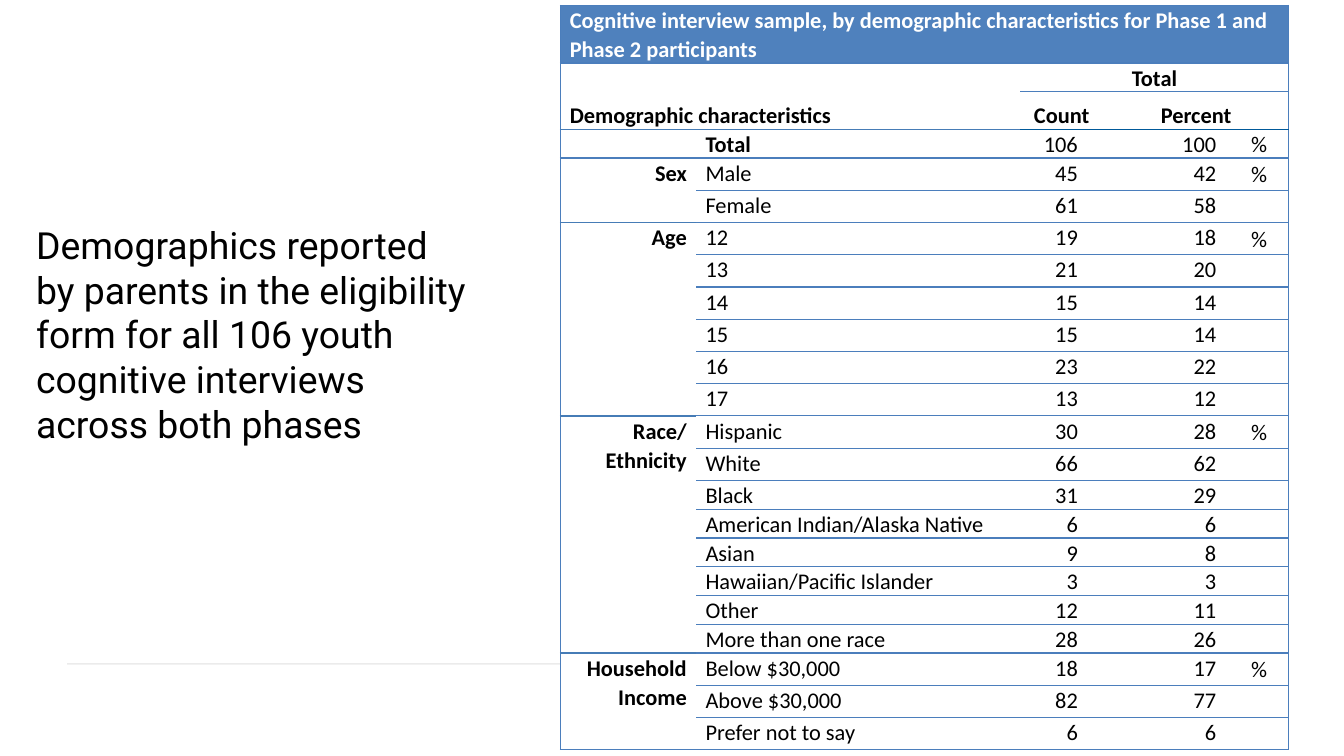
from lxml import etree
from pptx import Presentation
from pptx.dml import color
from pptx.enum import shapes, text
from pptx.oxml import ns
from pptx import util as u


def hue(code):
    return color.RGBColor.from_string(code)


def style(item, **values):
    for name, value in values.items():
        setattr(item, name, value)


deck = Presentation()
deck.slide_width = u.Inches(10)
deck.slide_height = u.Inches(10 * 9 / 16)
slide = deck.slides.add_slide(deck.slide_layouts[6])

rule = slide.shapes.add_connector(
    shapes.MSO_CONNECTOR.STRAIGHT,
    u.Inches(0.5), u.Inches(4.94), u.Inches(9.5), u.Inches(4.94))
rule.line.color.rgb = hue("D9D9D9")
rule.line.width = u.Pt(0.75)
tint = next(rule.line._ln.iter(ns.qn("a:srgbClr")))
etree.SubElement(tint, ns.qn("a:alpha"), val="50000")
etree.SubElement(rule._element.spPr, ns.qn("a:effectLst"))

box = slide.shapes.add_textbox(
    u.Inches(0.17), u.Inches(0.65), u.Inches(3.42), u.Inches(3.67))
style(box.text_frame, word_wrap=True, vertical_anchor=text.MSO_ANCHOR.MIDDLE)
run = box.text_frame.paragraphs[0].add_run()
run.text = ("Demographics reported by parents in the eligibility form "
            "for all 106 youth cognitive interviews across both phases")
style(run.font, name="Roboto", size=u.Pt(20))
run.font.color.rgb = hue("000000")

groups = [
    ("", [("Total", 106, 100)]),
    ("Sex", [("Male", 45, 42), ("Female", 61, 58)]),
    ("Age", [("12", 19, 18), ("13", 21, 20), ("14", 15, 14),
             ("15", 15, 14), ("16", 23, 22), ("17", 13, 12)]),
    ("Race/\nEthnicity", [
        ("Hispanic", 30, 28), ("White", 66, 62), ("Black", 31, 29),
        ("American Indian/Alaska Native", 6, 6), ("Asian", 9, 8),
        ("Hawaiian/Pacific Islander", 3, 3), ("Other", 12, 11),
        ("More than one race", 28, 26)]),
    ("Household\nIncome", [("Below $30,000", 18, 17), ("Above $30,000", 82, 77),
                           ("Prefer not to say", 6, 6)]),
]
rows = [
    ["Cognitive interview sample, by demographic characteristics "
     "for Phase 1 and Phase 2 participants", "", "", "", ""],
    ["Demographic characteristics", "", "Total", "", ""],
    ["", "", "Count", "Percent", ""],
]
spans = [(0, 0, 0, 4), (1, 0, 2, 1), (1, 2, 1, 4), (2, 3, 2, 4)]
ends = []
for group, items in groups:
    top = len(rows)
    for i, (label, count, share) in enumerate(items):
        first = i == 0
        rows.append([group if first else "", label, str(count), str(share),
                     "%" if first else ""])
    ends.append(len(rows) - 1)
    if len(items) > 1:
        spans.append((top, 0, ends[-1], 0))

wide = [1.01, 2.41, 0.62, 1.03, 0.35]
high = [0.4, 0.19, 0.28, 0.19] + [0.24] * 10 + [0.19] * 6 + [0.24] * 3
frame = slide.shapes.add_table(
    len(rows), len(wide), u.Inches(4.17), u.Inches(0.04),
    u.Inches(sum(wide)), u.Inches(sum(high)))
table = frame.table
style(table, first_row=False, horz_banding=False)
look = next(frame._element.iter(ns.qn("a:tableStyleId")))
look.text = "{2D5ABB26-0587-4C30-8999-92F81FD0307C}"
for col, size in zip(table.columns, wide):
    col.width = u.Inches(size)
for row, size in zip(table.rows, high):
    row.height = u.Inches(size)
for top, left, last, right in spans:
    table.cell(top, left).merge(table.cell(last, right))

thin, bold, dark = ("4B7EBC", 0.75), ("467CB6", 1), ("00599A", 1)
edges = {(-1, c): thin for c in range(5)}
for r in range(len(rows)):
    for c in range(5):
        if r == 2:
            edges[r, c] = bold if c < 2 else dark
        elif r == 1:
            edges[r, c] = thin if c > 1 else None
        elif c or r == 0 or r in (ends[0], ends[-1]):
            edges[r, c] = thin
        else:
            edges[r, c] = bold if r in ends else None

align = text.PP_ALIGN
sides = [align.RIGHT, align.LEFT, align.RIGHT, align.RIGHT, align.LEFT]
anchor = text.MSO_ANCHOR
for r, row in enumerate(rows):
    for c, words in enumerate(row):
        cell = table.cell(r, c)
        tall = cell.span_height if cell.is_merge_origin else 1
        broad = cell.span_width if cell.is_merge_origin else 1
        props = cell._tc.get_or_add_tcPr()
        lines = {"L": thin if c == 0 else None,
                 "R": thin if c + broad == 5 else None,
                 "T": edges[r - 1, c], "B": edges[r + tall - 1, c]}
        for side, edge in lines.items():
            line = etree.SubElement(props, ns.qn("a:ln" + side))
            if edge:
                line.set("w", str(u.Pt(edge[1])))
                fill = etree.SubElement(line, ns.qn("a:solidFill"))
                etree.SubElement(fill, ns.qn("a:srgbClr"), val=edge[0])
            else:
                etree.SubElement(line, ns.qn("a:noFill"))
        cell.fill.solid()
        cell.fill.fore_color.rgb = hue("FFFFFF" if r else "4F81BD")
        low = r in (0, 2) or (r, c) == (1, 0)
        mid = r > 2 and c == 4
        style(cell, margin_left=u.Inches(0.07), margin_right=u.Inches(0.07),
              margin_top=0, margin_bottom=0,
              vertical_anchor=anchor.BOTTOM if low else
              anchor.MIDDLE if mid else anchor.TOP)
        cell.text_frame.text = words
        for para in cell.text_frame.paragraphs:
            head = align.CENTER if c > 1 else align.LEFT
            style(para, line_spacing=1.07,
                  alignment=sides[c] if r > 2 else head)
            if r > 2 and c in (2, 3):
                para._p.get_or_add_pPr().set("marR", str(u.Inches(0.12)))
            for run in para.runs:
                style(run.font, name="Calibri", size=u.Pt(12),
                      bold=r < 3 or c == 0 or (r, c) == (3, 1))
                run.font.color.rgb = hue("000000" if r else "FFFFFF")
            etree.SubElement(para._p, ns.qn("a:endParaRPr"), sz="1200")

deck.save("out.pptx")
